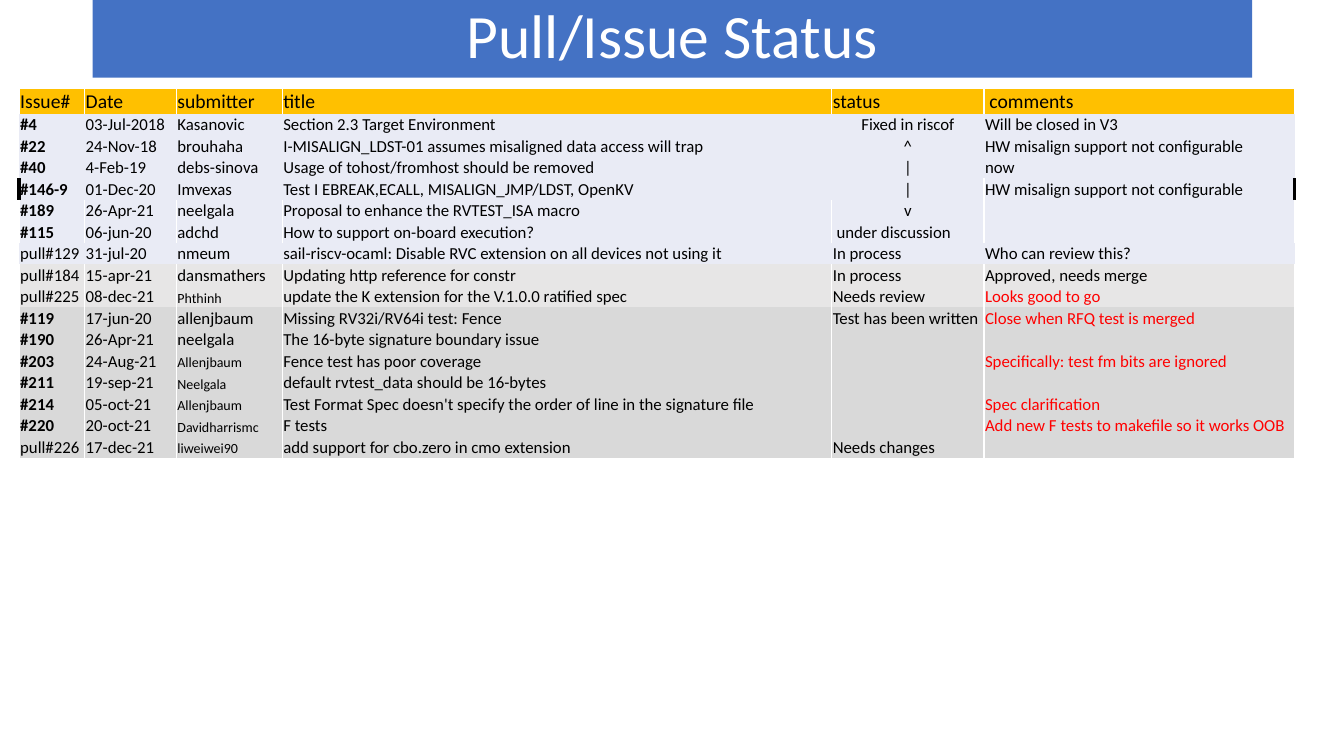
from lxml.etree import SubElement
from pptx import Presentation
from pptx.dml.color import RGBColor
from pptx.enum.shapes import MSO_SHAPE
from pptx.enum.text import MSO_ANCHOR, PP_ALIGN
from pptx.oxml.ns import qn
from pptx.util import Inches, Pt

COLORS = {"blue": "4472C4", "white": "FFFFFF", "black": "000000", "red": "FF0000",
          "header": "FFC000", "lavender": "E9EBF5", "light": "E7E6E6", "gray": "D9D9D9"}
FONT = "Calibri"
HEADER = ["Issue#", "Date", "submitter", "title", "status", "\u00a0comments"]
GROUPS = [
    ("lavender", [
        ["#4", "03-Jul-2018", "Kasanovic", "Section 2.3 Target Environment",
         "Fixed in riscof", "Will be closed in V3"],
        ["#22", "24-Nov-18", "brouhaha",
         "I-MISALIGN_LDST-01 assumes misaligned data access will trap",
         "^", "HW misalign support not configurable"],
        ["#40", "4-Feb-19", "debs-sinova", "Usage of tohost/fromhost should be removed",
         "|", "now"],
        ["#146-9", "01-Dec-20", "Imvexas", "Test I EBREAK,ECALL, MISALIGN_JMP/LDST, OpenKV",
         "|", "HW misalign support not configurable"],
        ["#189", "26-Apr-21", "neelgala", "Proposal to enhance the RVTEST_ISA macro", "v", ""],
        ["#115", "06-jun-20", "adchd", "How to support on-board execution?",
         " under discussion", ""],
        ["pull#129", "31-jul-20", "nmeum",
         "sail-riscv-ocaml: Disable RVC extension on all devices not using it",
         "In process", "Who can review this?"]]),
    ("light", [
        ["pull#184", "15-apr-21", "dansmathers", "Updating http reference for constr",
         "In process", "Approved, needs merge"],
        ["pull#225", "08-dec-21", "Phthinh",
         "update the K extension for the V.1.0.0 ratified spec",
         "Needs review", "Looks good to go"]]),
    ("gray", [
        ["#119", "17-jun-20", "allenjbaum", "Missing RV32i/RV64i test: Fence",
         "Test has been written", "Close when RFQ test is merged"],
        ["#190", "26-Apr-21", "neelgala", "The 16-byte signature boundary issue", "", ""],
        ["#203", "24-Aug-21", "Allenjbaum", "Fence test has poor coverage",
         "", "Specifically: test fm bits are ignored"],
        ["#211", "19-sep-21", "Neelgala", "default rvtest_data should be 16-bytes", "", ""],
        ["#214", "05-oct-21", "Allenjbaum",
         "Test Format Spec doesn't specify the order of line in the signature file",
         "", "Spec clarification"],
        ["#220", "20-oct-21", "Davidharrismc", "F tests",
         "", "Add new F tests to makefile so it works OOB"],
        ["pull#226", "17-dec-21", "liweiwei90", "add support for cbo.zero in cmo extension",
         "Needs changes", ""]]),
]
SMALL_SUBMITTERS = {"Phthinh", "Allenjbaum", "Neelgala", "Davidharrismc", "liweiwei90"}
CENTERED_STATUS = {"Fixed in riscof", "^", "|", "v"}
RED_COMMENTS_FROM = 9
UNRULED_ROWS = {1, 2, 3, 4, 7}
MARKED_ROW = 4


def rgb(name):
    """Return the named colour."""
    return RGBColor.from_string(COLORS[name])


def set_borders(cell, borders):
    """Draw the given sides as (colour, points) and hide the other sides."""
    tc_pr = cell._tc.get_or_add_tcPr()
    for i, side in enumerate(("lnL", "lnR", "lnT", "lnB")):
        ln = tc_pr.makeelement(qn(f"a:{side}"), {})
        tc_pr.insert(i, ln)
        if side in borders:
            color, points = borders[side]
            ln.set("w", str(Pt(points)))
            fill = SubElement(ln, qn("a:solidFill"))
            SubElement(fill, qn("a:srgbClr"), val=COLORS[color])
        else:
            SubElement(ln, qn("a:noFill"))


prs = Presentation()
prs.slide_width, prs.slide_height = Inches(13.33), Inches(7.5)
s = prs.slides.add_slide(prs.slide_layouts[6])

title = s.shapes.add_shape(MSO_SHAPE.RECTANGLE, Inches(0.92), 0, Inches(11.5), Inches(0.77))
title.shadow.inherit = False
title.fill.solid()
title.fill.fore_color.rgb = rgb("blue")
title.line.fill.background()
tf = title.text_frame
tf.text = "Pull/Issue Status"
tf.vertical_anchor = MSO_ANCHOR.MIDDLE
p = tf.paragraphs[0]
p.alignment = PP_ALIGN.CENTER
p.line_spacing = 0.9
r = p.runs[0]
r.font.name, r.font.size, r.font.color.rgb = FONT, Pt(44), rgb("white")

rows = [("header", HEADER)] + [(fill, row) for fill, group in GROUPS for row in group]
table = s.shapes.add_table(len(rows), len(HEADER), Inches(0.19), Inches(0.88),
                           Inches(12.65), Inches(3.6)).table
table.first_row = table.horz_banding = False
for column, width in zip(table.columns, (0.65, 0.91, 1.05, 5.45, 1.51, 3.08)):
    column.width = Inches(width)

for i, (fill, texts) in enumerate(rows):
    table.rows[i].height = Inches(0.21 if i else 0.24)
    for j, text in enumerate(texts):
        cell = table.cell(i, j)
        cell.fill.solid()
        cell.fill.fore_color.rgb = rgb(fill)
        cell.vertical_anchor = MSO_ANCHOR.BOTTOM
        cell.margin_left = cell.margin_right = cell.margin_top = Inches(0.01)
        cell.margin_bottom = 0

        borders = {} if i in UNRULED_ROWS else {"lnL": ("white", 1), "lnR": ("white", 1)}
        if i == 0:
            borders["lnT"] = ("white", 1)
        if i == MARKED_ROW:
            borders = {0: {"lnL": ("black", 3)}, 4: {"lnR": ("white", 1)},
                       5: {"lnL": ("white", 1), "lnR": ("black", 3)}}.get(j, {})
        set_borders(cell, borders)

        p = cell.text_frame.paragraphs[0]
        if not text:
            SubElement(p._p, qn("a:endParaRPr"), sz="1200")
            continue
        p.text = text
        if text in CENTERED_STATUS:
            p.alignment = PP_ALIGN.CENTER
        font = p.runs[0].font
        font.name = FONT
        font.size = Pt(14 if i == 0 else 10 if text in SMALL_SUBMITTERS else 12)
        font.bold = text.startswith("#")
        font.color.rgb = rgb("red" if j == 5 and i >= RED_COMMENTS_FROM else "black")

prs.save("out.pptx")
